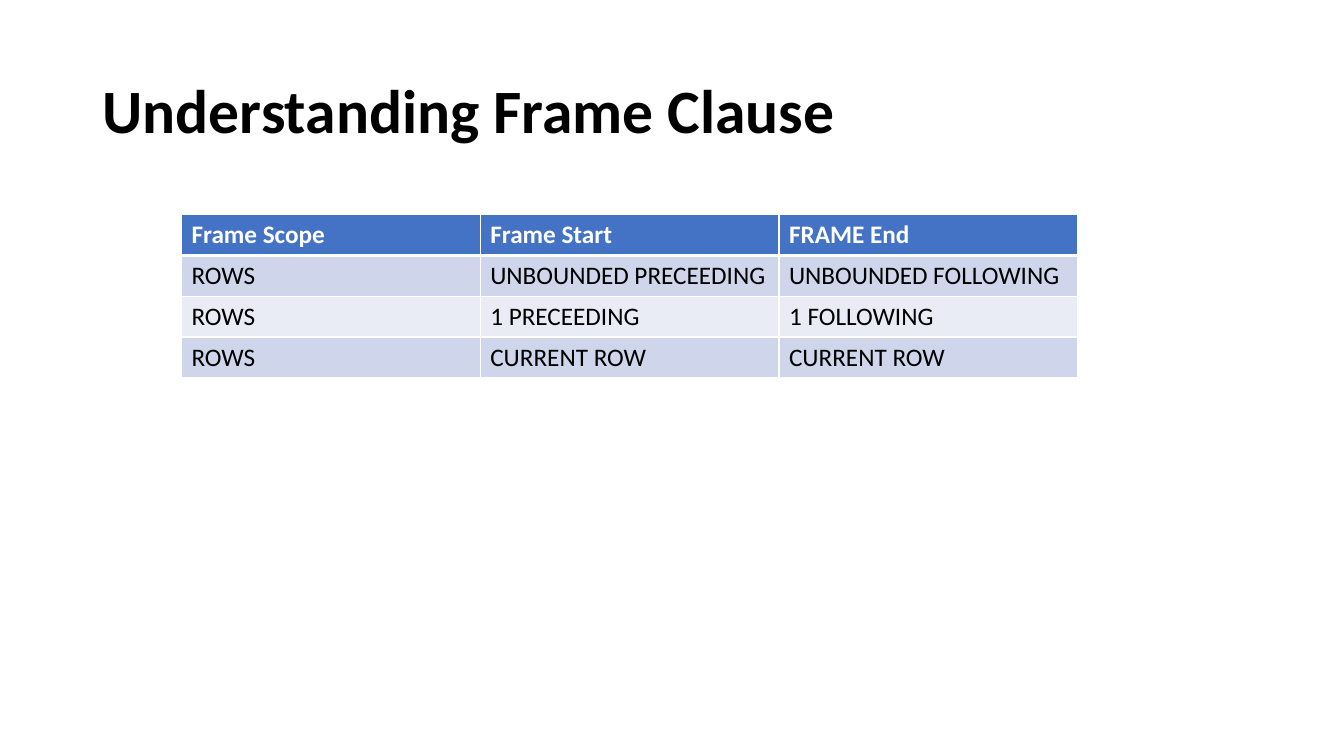
import pptx
import pptx.dml.color
import pptx.enum.text
import pptx.oxml.ns
import pptx.util
from lxml import etree

Inches = pptx.util.Inches
Pt = pptx.util.Pt
RGBColor = pptx.dml.color.RGBColor
qn = pptx.oxml.ns.qn

BLACK = RGBColor(0x00, 0x00, 0x00)
WHITE = RGBColor(0xFF, 0xFF, 0xFF)
HEADER_BLUE = RGBColor(0x44, 0x72, 0xC4)
BAND_DARK = RGBColor(0xCF, 0xD5, 0xEA)
BAND_LIGHT = RGBColor(0xE9, 0xEB, 0xF5)
FONT = "Calibri"

FRAME_ROWS = [
    ("Frame Scope", "Frame Start", "FRAME End"),
    ("ROWS", "UNBOUNDED PRECEEDING", "UNBOUNDED FOLLOWING"),
    ("ROWS", "1 PRECEEDING", "1 FOLLOWING"),
    ("ROWS", "CURRENT ROW", "CURRENT ROW"),
]


def style_paragraph(paragraph, size, color, bold):
    font = paragraph.font
    font.name = FONT
    font.size = Pt(size)
    font.color.rgb = color
    font.bold = bold


def set_borders(cell, widths):
    """Draw white cell borders; widths maps each side (L, R, T, B) to points."""
    properties = cell._tc.get_or_add_tcPr()
    for side, width in widths.items():
        line = etree.SubElement(properties, qn(f"a:ln{side}"), w=str(Pt(width)))
        fill = etree.SubElement(line, qn("a:solidFill"))
        etree.SubElement(fill, qn("a:srgbClr"), val=str(WHITE))


def add_title(slide, left, top, width, height, text):
    shape = slide.shapes.add_textbox(left, top, width, height)
    frame = shape.text_frame
    frame.word_wrap = True
    frame.vertical_anchor = pptx.enum.text.MSO_ANCHOR.MIDDLE
    paragraph = frame.paragraphs[0]
    paragraph.text = text
    paragraph.line_spacing = 0.9
    style_paragraph(paragraph, 44, BLACK, True)


def add_frame_table(slide, left, top, width, height, rows):
    shape = slide.shapes.add_table(len(rows), len(rows[0]), left, top, width, height)
    table = shape.table
    for row_index, row in enumerate(rows):
        is_header = row_index == 0
        if is_header:
            fill_color = HEADER_BLUE
        else:
            fill_color = BAND_DARK if row_index % 2 else BAND_LIGHT
        # A thicker rule separates the header from the body
        widths = {"L": 1, "R": 1,
                  "T": 3 if row_index == 1 else 1,
                  "B": 3 if is_header else 1}
        for column_index, text in enumerate(row):
            cell = table.cell(row_index, column_index)
            set_borders(cell, widths)
            cell.fill.solid()
            cell.fill.fore_color.rgb = fill_color
            paragraph = cell.text_frame.paragraphs[0]
            paragraph.text = text
            style_paragraph(paragraph, 18, WHITE if is_header else BLACK, is_header)


presentation = pptx.Presentation()
presentation.slide_width = Inches(13.33)
presentation.slide_height = Inches(7.5)
slide = presentation.slides.add_slide(presentation.slide_layouts[6])

# Title
add_title(slide, Inches(0.92), Inches(0.4), Inches(11.5), Inches(1.45),
          "Understanding Frame Clause")

# Frame clause table
add_frame_table(slide, Inches(1.8), Inches(2.13), Inches(8.89), Inches(1.62), FRAME_ROWS)

presentation.save("out.pptx")
